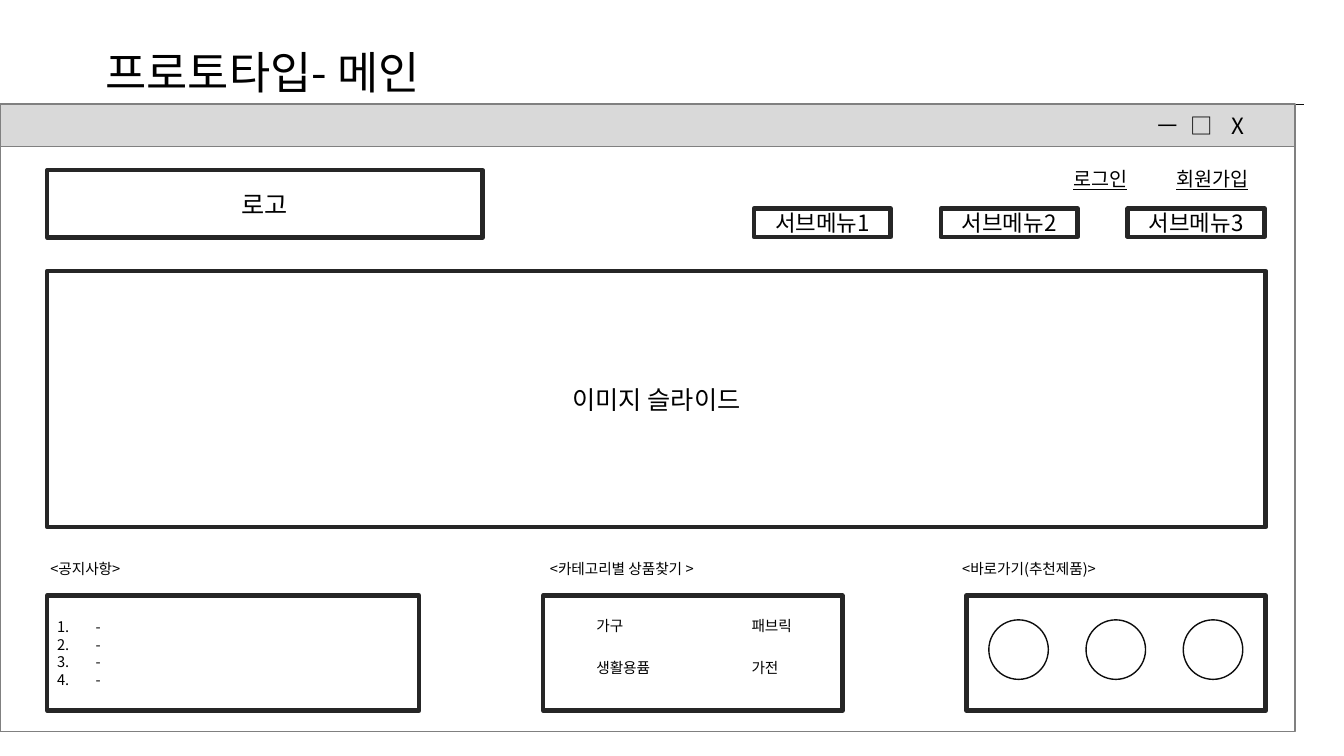
"""Build the main-page wireframe slide of a shop prototype."""
from lxml.etree import SubElement
from pptx import Presentation
from pptx.dml.color import RGBColor as RGB
from pptx.enum.shapes import MSO_CONNECTOR as CONN, MSO_SHAPE as SHAPE
from pptx.enum.text import MSO_ANCHOR as ANCHOR, MSO_AUTO_SIZE as AUTO, PP_ALIGN as ALIGN
from pptx.oxml.ns import qn
from pptx.util import Cm, Pt

COLORS = {"text": "000000", "frame": "262626", "ink": "0D0D0D",
          "edge": "808080", "bar": "D9D9D9", "page": "FFFFFF"}
FONT = "Noto Sans CJK KR"


class Wireframe:
    def __init__(self, slide):
        self.s = slide

    def color(self, name):
        return RGB.from_string(COLORS[name])

    def fill_text(self, tf, lines, size, align=ALIGN.LEFT, numbered=False, tabs=(), **extra):
        tf.word_wrap = True
        for i, line in enumerate(lines):
            p = tf.paragraphs[0] if i == 0 else tf.add_paragraph()
            p.alignment = align
            pPr = p._p.get_or_add_pPr()
            if numbered:
                pPr.set("marL", str(Cm(0.97)))
                pPr.set("indent", str(-Cm(0.97)))
                SubElement(pPr, qn("a:buFont"), typeface=FONT)
                SubElement(pPr, qn("a:buAutoNum"), type="arabicPeriod")
            if tabs:
                stops = SubElement(pPr, qn("a:tabLst"))
                for pos in tabs:
                    SubElement(stops, qn("a:tab"), pos=str(Cm(pos)), algn="ctr")
            r = p.add_run()
            r.text = line
            for key, value in {"size": Pt(size), "name": FONT, **extra}.items():
                setattr(r.font, key, value)
            r.font.color.rgb = self.color("text")
            SubElement(r._r.get_or_add_rPr(), qn("a:ea"), typeface=FONT)

    def shape(self, x, y, w, h, kind=SHAPE.RECTANGLE, fill=None, line="frame", width=3.25):
        sp = self.s.shapes.add_shape(kind, Cm(x), Cm(y), Cm(w), Cm(h))
        sp.shadow.inherit = False
        if fill:
            sp.fill.solid()
            sp.fill.fore_color.rgb = self.color(fill)
        else:
            sp.fill.background()
        if line:
            sp.line.color.rgb = self.color(line)
            sp.line.width = Pt(width)
        else:
            sp.line.fill.background()
        sp.text_frame.vertical_anchor = ANCHOR.MIDDLE
        return sp

    def box(self, x, y, w, h, text, size):
        sp = self.shape(x, y, w, h)
        self.fill_text(sp.text_frame, [text], size, ALIGN.CENTER)

    def label(self, x, y, w, h, text, size, **extra):
        tf = self.s.shapes.add_textbox(Cm(x), Cm(y), Cm(w), Cm(h)).text_frame
        tf.auto_size = AUTO.SHAPE_TO_FIT_TEXT
        self.fill_text(tf, [text], size, **extra)

    def rule(self, x1, y1, x2, y2):
        ln = self.s.shapes.add_connector(CONN.STRAIGHT, Cm(x1), Cm(y1), Cm(x2), Cm(y2))
        ln.line.color.rgb = self.color("ink")
        ln.line.width = Pt(0.5)
        SubElement(ln._element.spPr, qn("a:effectLst"))


def main():
    prs = Presentation()
    prs.slide_width, prs.slide_height = Cm(33.87), Cm(19.05)
    w = Wireframe(prs.slides.add_slide(prs.slide_layouts[6]))

    w.rule(0.99, 2.62, 32.87, 2.62)
    w.shape(0, 3.68, 32.64, 14.76, fill="page", line="edge", width=1)
    w.shape(0, 2.62, 32.64, 1.07, fill="bar", line="edge", width=1)
    buttons = w.shape(28.42, 2.72, 3.73, 0.91, fill="bar", line=None).text_frame
    buttons.margin_left = Cm(0.74)
    w.fill_text(buttons, ["ㅡ\t□\tX"], 16, tabs=(1.12, 2.03))

    w.label(2.41, 0.99, 13.11, 1.63, "프로토타입- 메인", 32)
    w.box(1.19, 4.29, 10.97, 1.7, "로고", 18)
    for i in range(3):
        w.box(19 + 4.71 * i, 5.26, 3.45, 0.71, f"서브메뉴{i + 1}", 16)
    w.box(1.19, 6.83, 30.71, 6.45, "이미지 슬라이드", 18)
    for x, width, text in ((26.8, 2.24, "로그인"), (29.39, 2.49, "회원가입")):
        w.label(x, 4.09, width, 0.86, text, 14, underline=True)

    for x, width, text in ((1.02, 2.92, "<공지사항>"),
                           (13.61, 5.08, "<카테고리별 상품찾기 >"),
                           (24, 4.42, "<바로가기(추천제품)>")):
        w.label(x, 13.97, width, 0.71, text, 10.5)
    notices, _, _ = [w.shape(x, 15.01, width, 2.9)
                     for x, width in ((1.19, 9.37), (13.69, 7.54), (24.36, 7.54))]
    w.fill_text(notices.text_frame, ["-"] * 4, 10.5, numbered=True)

    categories = (("가구", "패브릭"), ("생활용퓸", "가전"))
    for row, names in enumerate(categories):
        for col, name in enumerate(names):
            w.label(14.78 + 3.91 * col, 15.42 + 1.06 * row, 2.1, 0.71, name, 10.5)
    for i in range(3):
        w.shape(24.92 + 2.45 * i, 15.62, 1.5, 1.5, SHAPE.OVAL, line="ink", width=1)

    prs.save("out.pptx")


if __name__ == "__main__":
    main()
